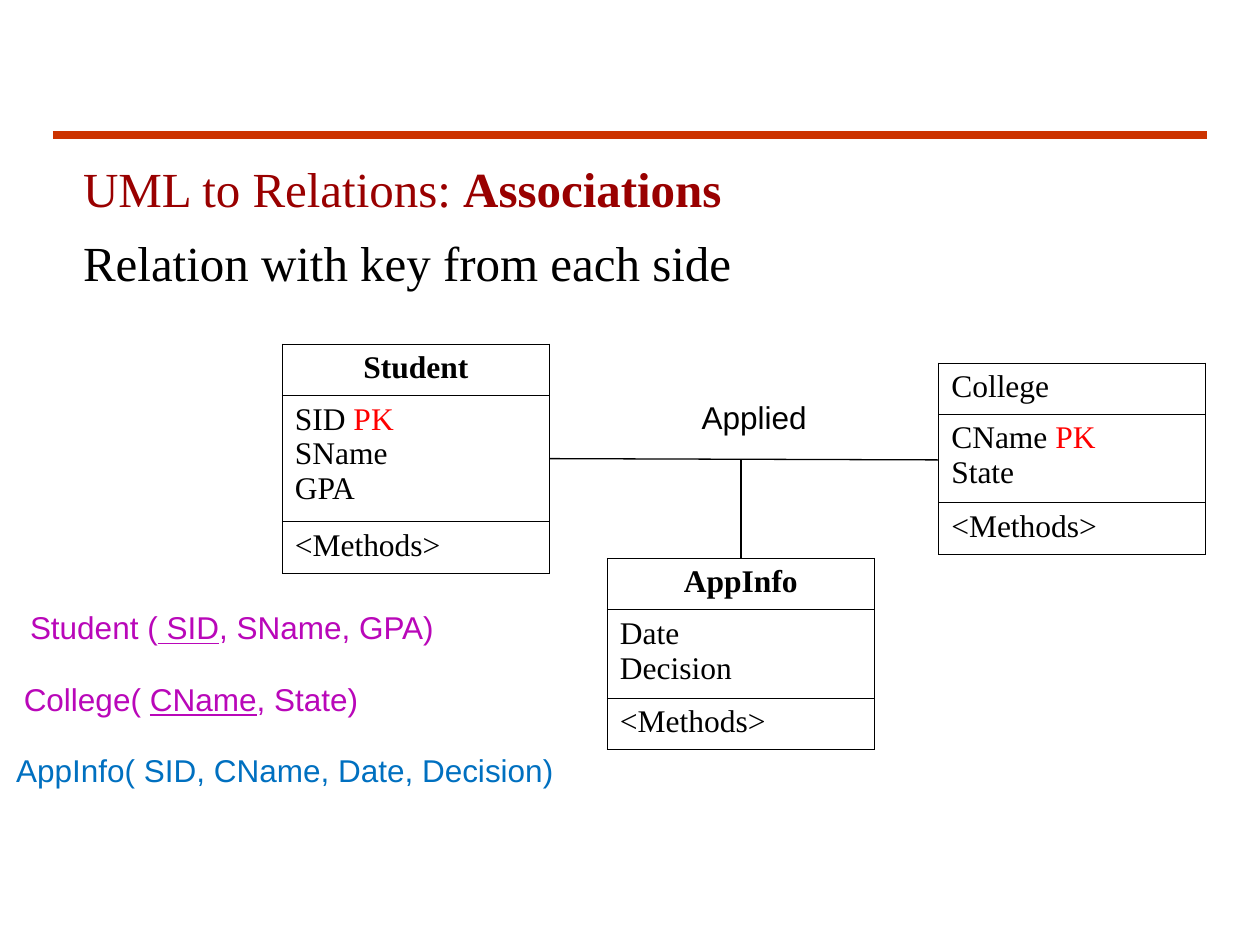
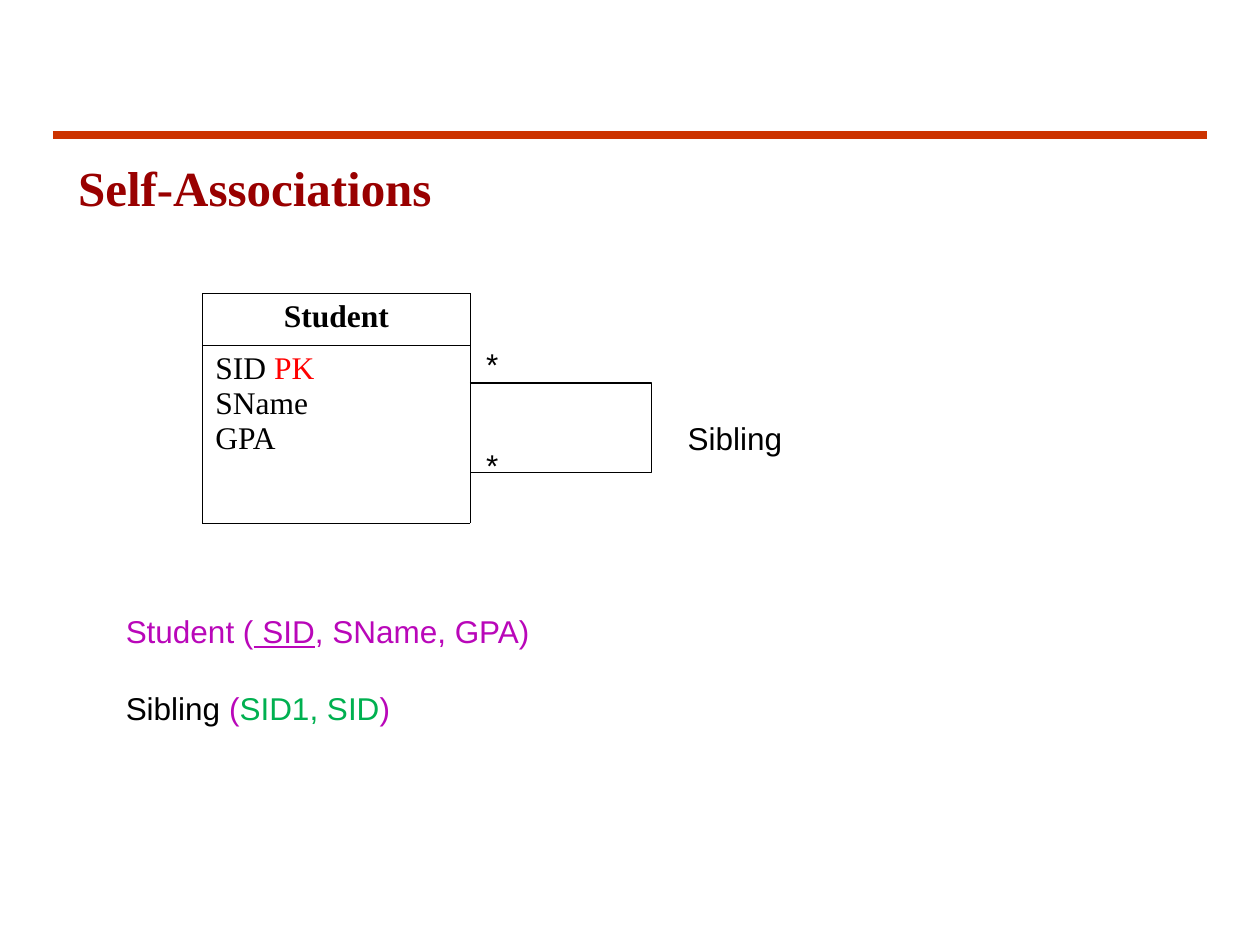
import pptx
import pptx.dml.color
import pptx.enum.shapes
import pptx.enum.text
import pptx.oxml
import pptx.oxml.ns
import pptx.util

Inches = pptx.util.Inches
Pt = pptx.util.Pt
LEFT = pptx.enum.text.PP_ALIGN.LEFT
CENTER = pptx.enum.text.PP_ALIGN.CENTER
STRAIGHT = pptx.enum.shapes.MSO_CONNECTOR.STRAIGHT
ELBOW = pptx.enum.shapes.MSO_CONNECTOR.ELBOW

BLACK, RED, DARK_RED, ORANGE = "000000", "FF0000", "990000", "CC3300"
PURPLE, BLUE, GREEN = "B907B9", "0070C0", "00B050"
SERIF, SANS = "Times New Roman", "Arial"


def colour(hex_string):
    return pptx.dml.color.RGBColor.from_string(hex_string)


def write(frame, lines, font, size=18, align=LEFT, gap=0):
    frame.word_wrap = True
    for index, pieces in enumerate(lines):
        paragraph = frame.paragraphs[0] if index == 0 else frame.add_paragraph()
        paragraph.alignment = align
        paragraph.space_before = Pt(gap if index else 0)
        for text, hex_string, style in pieces:
            run = paragraph.add_run()
            run.text = text
            run.font.name = font
            run.font.size = Pt(size)
            run.font.color.rgb = colour(hex_string)
            run.font.bold = style == "bold"
            run.font.underline = style == "underline"


deck = pptx.Presentation()
deck.slide_width = Inches(10)
deck.slide_height = Inches(7.5)
associations = deck.slides.add_slide(deck.slide_layouts[1])
self_associations = deck.slides.add_slide(deck.slide_layouts[5])

headings = [
    (associations.shapes.title, 0.56, 1.26, 0.59,
     [("UML to Relations: ", DARK_RED, ""), ("Associations", DARK_RED, "bold")]),
    (associations.placeholders[1], 0.56, 1.85, 0.59,
     [("Relation with key from each side", BLACK, "")]),
    (self_associations.shapes.title, 0.52, 1.25, 0.59,
     [("Self-Associations", DARK_RED, "bold")]),
]
for heading, left, top, height, pieces in headings:
    heading.left, heading.top = Inches(left), Inches(top)
    heading.width, heading.height = Inches(8.98), Inches(height)
    frame = heading.text_frame
    frame.auto_size = pptx.enum.text.MSO_AUTO_SIZE.NONE
    frame.vertical_anchor = pptx.enum.text.MSO_ANCHOR.TOP
    properties = frame.paragraphs[0]._p.get_or_add_pPr()
    properties.set("marL", "0")
    properties.set("indent", "0")
    properties.append(pptx.oxml.parse_xml(f"<a:buNone {pptx.oxml.ns.nsdecls('a')}/>"))
    frame.paragraphs[0].line_spacing = 0.9
    write(frame, [pieces], SERIF, 28)

student_name = [[("Student", BLACK, "bold")]]
student_fields = [
    [("SID ", BLACK, ""), ("PK", RED, "")],
    [("SName", BLACK, "")],
    [("GPA", BLACK, "")],
]
college_name = [[("College", BLACK, "")]]
college_fields = [
    [("CName ", BLACK, ""), ("PK", RED, "")],
    [("State", BLACK, "")],
]
app_info_name = [[("AppInfo", BLACK, "bold")]]
app_info_fields = [[("Date", BLACK, "")], [("Decision", BLACK, "")]]
methods = [[("<Methods>", BLACK, "")]]

classes = [
    (associations, 2.24, 2.73, [0.41, 1, 0.41], [student_name, student_fields, methods]),
    (associations, 7.45, 2.88, [0.41, 0.7, 0.41], [college_name, college_fields, methods]),
    (associations, 4.82, 4.43, [0.41, 0.7, 0.41], [app_info_name, app_info_fields, methods]),
    (self_associations, 1.61, 2.33, [0.41, 1.41], [student_name, student_fields]),
]
for slide, left, top, heights, compartments in classes:
    class_box = slide.shapes.add_table(
        len(heights), 1, Inches(left), Inches(top), Inches(2.12), Inches(sum(heights))
    ).table
    class_box.first_row = False
    class_box.horz_banding = False
    for index, (height, lines) in enumerate(zip(heights, compartments)):
        class_box.rows[index].height = Inches(height)
        cell = class_box.cell(index, 0)
        cell.fill.background()
        centred = index == 0 and lines is not college_name
        write(cell.text_frame, lines, SERIF, align=CENTER if centred else LEFT)
        cell_properties = cell._tc.get_or_add_tcPr()
        for position, side in enumerate(["lnL", "lnR", "lnT", "lnB"]):
            cell_properties.insert(position, pptx.oxml.parse_xml(
                f"<a:{side} {pptx.oxml.ns.nsdecls('a')} w='{Pt(0.45)}'>"
                f"<a:solidFill><a:srgbClr val='{BLACK}'/></a:solidFill></a:{side}>"
            ))

links = [
    (associations, STRAIGHT, 0.42, 1.07, 9.58, 1.07, ORANGE, 4.5),
    (associations, STRAIGHT, 4.36, 3.64, 7.45, 3.65, BLACK, 0.75),
    (associations, STRAIGHT, 5.88, 3.65, 5.88, 4.43, BLACK, 0.75),
    (self_associations, STRAIGHT, 3.73, 3.04, 4.96, 3.04, BLACK, 0.75),
    (self_associations, ELBOW, 4.96, 3.04, 3.73, 3.75, BLACK, 0.75),
]
for slide, kind, x1, y1, x2, y2, hex_string, weight in links:
    link = slide.shapes.add_connector(kind, Inches(x1), Inches(y1), Inches(x2), Inches(y2))
    link.line.color.rgb = colour(hex_string)
    link.line.width = Pt(weight)
    link_properties = link.element.spPr
    link_properties.append(
        pptx.oxml.parse_xml(f"<a:effectLst {pptx.oxml.ns.nsdecls('a')}/>")
    )
    if kind == ELBOW:
        adjustments = link_properties.find(".//" + pptx.oxml.ns.qn("a:avLst"))
        adjustments.append(pptx.oxml.parse_xml(
            f"<a:gd {pptx.oxml.ns.nsdecls('a')} name='adj1' fmla='val -17200'/>"
        ))
    if hex_string == ORANGE:
        deck.slide_master.shapes.element.append(link.element)

student_relation = [
    ("Student (", PURPLE, ""), (" SID", PURPLE, "underline"), (", SName, GPA)", PURPLE, ""),
]
college_relation = [
    ("College( ", PURPLE, ""), ("CName", PURPLE, "underline"), (", State)", PURPLE, ""),
]
app_info_relation = [("AppInfo( SID, CName, Date, Decision)", BLUE, "")]
sibling_relation = [
    ("Sibling", BLACK, ""), (" (", PURPLE, ""), ("SID1, SID", GREEN, ""), (")", PURPLE, ""),
]
many = [[("*", BLACK, "")]]

captions = [
    (associations, 5.47, 3.11, 1.5, 0.4, [[("Applied", BLACK, "")]]),
    (associations, 0.14, 4.78, 4.23, 0.4, [student_relation]),
    (associations, 0.09, 5.35, 3.62, 0.4, [college_relation]),
    (associations, 0.03, 5.91, 4.68, 0.4, [app_info_relation]),
    (self_associations, 3.76, 2.69, 0.39, 0.4, many),
    (self_associations, 3.76, 3.49, 0.39, 0.4, many),
    (self_associations, 5.36, 3.28, 1.23, 0.4, [[("Sibling", BLACK, "")]]),
    (self_associations, 0.9, 4.81, 4.33, 1, [student_relation, sibling_relation]),
]
for slide, left, top, width, height, lines in captions:
    caption = slide.shapes.add_textbox(Inches(left), Inches(top), Inches(width), Inches(height))
    caption.text_frame.auto_size = pptx.enum.text.MSO_AUTO_SIZE.SHAPE_TO_FIT_TEXT
    write(caption.text_frame, lines, SANS, gap=22.5)

deck.save("out.pptx")
